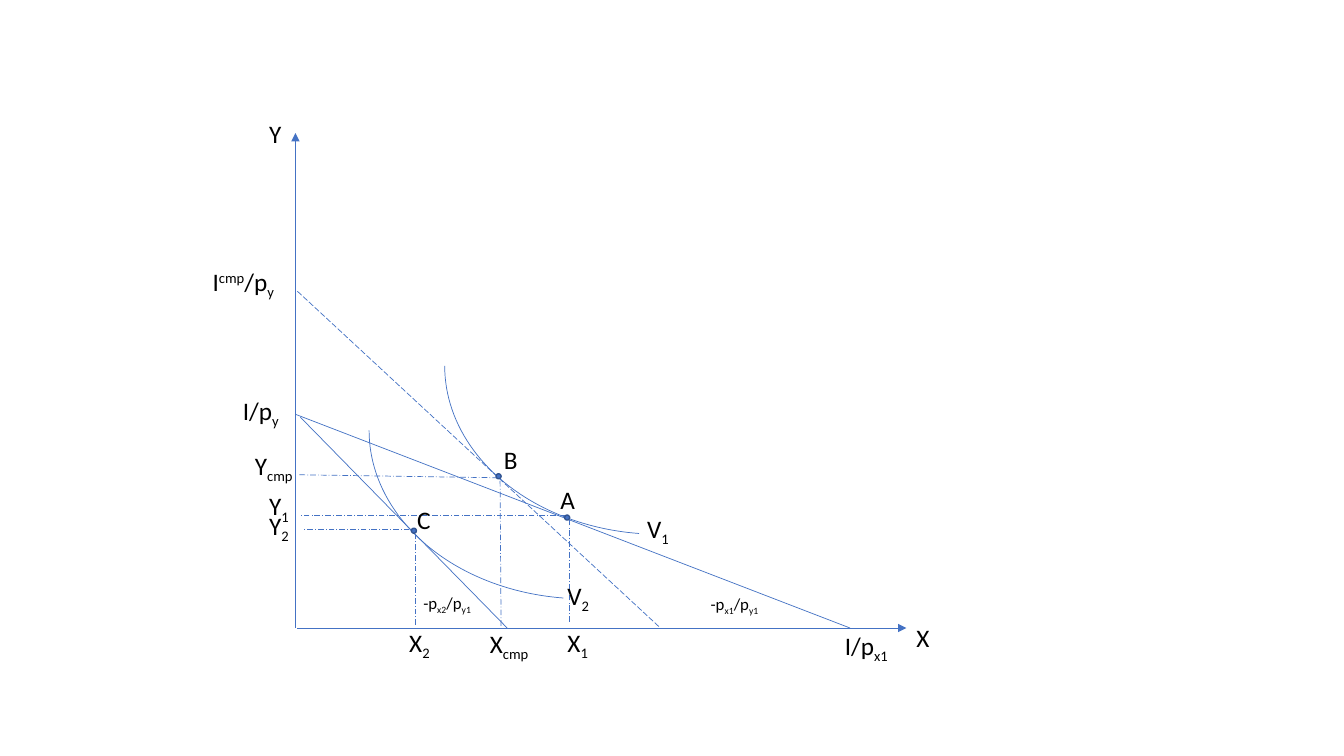
import dataclasses

import pptx
import pptx.dml.color
import pptx.enum.dml
import pptx.enum.shapes
import pptx.enum.text
import pptx.oxml
import pptx.oxml.ns
import pptx.shapes.base
import pptx.slide
import pptx.util

Inches = pptx.util.Inches
Dash = pptx.enum.dml.MSO_LINE
Shape = pptx.enum.shapes.MSO_SHAPE


@dataclasses.dataclass(frozen=True)
class Theme:
    font: str = "Calibri"
    large: float = 18
    small: float = 12
    thin: float = 0.5
    edge: float = 1
    ink: str = "000000"
    blue: str = "4472C4"
    navy: str = "325491"


@dataclasses.dataclass(frozen=True)
class Line:
    x1: float
    y1: float
    x2: float
    y2: float
    dash: Dash | None = None
    arrow: bool = False


@dataclasses.dataclass(frozen=True)
class Label:
    """Parts are split by |; a leading _ lowers a part and ^ raises it."""
    text: str
    left: float
    top: float
    width: float
    size: float = Theme.large


THEME = Theme()
SHIFT = {"_": "-25000", "^": "30000"}
GUIDE = Dash.LONG_DASH_DOT

LINES = [
    # Axes
    Line(2.93, 6.23, 2.93, 1.32, arrow=True),
    Line(2.95, 6.23, 8.99, 6.23, arrow=True),
    # Budget lines
    Line(2.93, 4.11, 8.43, 6.23),
    Line(2.98, 4.14, 5.03, 6.23),
    Line(2.95, 2.89, 6.55, 6.23, Dash.LONG_DASH),
    # Guides down to X
    Line(5.65, 6.17, 5.65, 5.16, GUIDE),
    Line(4.97, 6.21, 4.96, 4.76, GUIDE),
    Line(4.12, 6.2, 4.12, 5.27, GUIDE),
    # Guides across to Y
    Line(4.06, 5.25, 3, 5.25, GUIDE),
    Line(5.62, 5.11, 2.97, 5.11, GUIDE),
    Line(4.94, 4.74, 2.95, 4.71, GUIDE),
]
CURVES = [(4.41, 1.96), (3.66, 2.6)]
DOTS = [(5.6, 5.11), (4.92, 4.7), (4.08, 5.24)]
LABELS = [
    # Axis names
    Label("X", 8.99, 6.12, 0.33),
    Label("Y", 2.57, 1.12, 0.32),
    # Curves and points
    Label("V|_1", 6.32, 5.04, 0.43),
    Label("V|_2", 5.53, 5.71, 0.43),
    Label("A", 5.46, 4.76, 0.35),
    Label("B", 4.9, 4.36, 0.34),
    Label("C", 4.04, 4.95, 0.34),
    # Intercepts and slopes
    Label("I/p|_x1", 8.28, 6.2, 0.65),
    Label("I|^cmp|/p|_y", 2.01, 2.59, 0.87),
    Label("I/p|_y", 2.31, 3.87, 0.57),
    Label("-p|_x2|/p|_y1", 4.1, 5.83, 0.7, THEME.small),
    Label("-p|_x1|/p|_y1", 6.95, 5.84, 0.7, THEME.small),
    # Amounts on each axis
    Label("X|_1", 5.53, 6.17, 0.42),
    Label("X|_2", 3.96, 6.17, 0.42),
    Label("X|_cmp", 4.76, 6.18, 0.63),
    Label("Y|_1", 2.57, 4.82, 0.41),
    Label("Y|_cmp", 2.43, 4.42, 0.6),
    Label("Y|_2", 2.57, 5.01, 0.41),
]


def tint(code: str) -> pptx.dml.color.RGBColor:
    return pptx.dml.color.RGBColor.from_string(code)


def draw_line(slide: pptx.slide.Slide, item: Line) -> None:
    link = slide.shapes.add_connector(
        pptx.enum.shapes.MSO_CONNECTOR.STRAIGHT,
        Inches(item.x1), Inches(item.y1), Inches(item.x2), Inches(item.y2))
    link.line.color.rgb = tint(THEME.blue)
    link.line.width = pptx.util.Pt(THEME.thin)
    if item.dash is not None:
        link.line.dash_style = item.dash
    if item.arrow:
        tail = pptx.oxml.parse_xml(
            f'<a:tailEnd {pptx.oxml.ns.nsdecls("a")} type="triangle"/>')
        link.line._get_or_add_ln().append(tail)
    link._element.spPr.append(pptx.oxml.parse_xml(
        f'<a:effectLst {pptx.oxml.ns.nsdecls("a")}/>'))


def add_shape(slide: pptx.slide.Slide, kind: Shape, left: float, top: float,
              width: float, height: float, color: str,
              weight: float) -> pptx.shapes.base.BaseShape:
    shape = slide.shapes.add_shape(
        kind, Inches(left), Inches(top), Inches(width), Inches(height))
    shape.shadow.inherit = False
    shape.line.color.rgb = tint(color)
    shape.line.width = pptx.util.Pt(weight)
    return shape


def draw_curve(slide: pptx.slide.Slide, left: float, top: float) -> None:
    arc = add_shape(slide, Shape.ARC, left, top, 4.26, 3.34,
                    THEME.blue, THEME.thin)
    arc.fill.background()
    arc.rotation = 180
    arc.adjustments[0] = 166.17
    arc.adjustments[1] = 0


def draw_dot(slide: pptx.slide.Slide, left: float, top: float) -> None:
    dot = add_shape(slide, Shape.OVAL, left, top, 0.05, 0.05,
                    THEME.navy, THEME.edge)
    dot.fill.solid()
    dot.fill.fore_color.rgb = tint(THEME.blue)


def draw_label(slide: pptx.slide.Slide, item: Label) -> None:
    height = 0.4 if item.size == THEME.large else 0.3
    box = slide.shapes.add_textbox(Inches(item.left), Inches(item.top),
                                   Inches(item.width), Inches(height))
    frame = box.text_frame
    frame.word_wrap = False
    frame.auto_size = pptx.enum.text.MSO_AUTO_SIZE.SHAPE_TO_FIT_TEXT
    para = frame.paragraphs[0]
    para.font.name = THEME.font
    para.font.size = pptx.util.Pt(item.size)
    para.font.color.rgb = tint(THEME.ink)
    for part in item.text.split("|"):
        run = para.add_run()
        run.text = part.lstrip("_^")
        if part[0] in SHIFT:
            run._r.get_or_add_rPr().set("baseline", SHIFT[part[0]])


def main() -> None:
    deck = pptx.Presentation()
    deck.slide_width = Inches(13.33)
    deck.slide_height = Inches(7.5)
    slide = deck.slides.add_slide(deck.slide_layouts[6])
    for line in LINES:
        draw_line(slide, line)
    for left, top in CURVES:
        draw_curve(slide, left, top)
    for left, top in DOTS:
        draw_dot(slide, left, top)
    for label in LABELS:
        draw_label(slide, label)
    deck.save("out.pptx")


if __name__ == "__main__":
    main()
